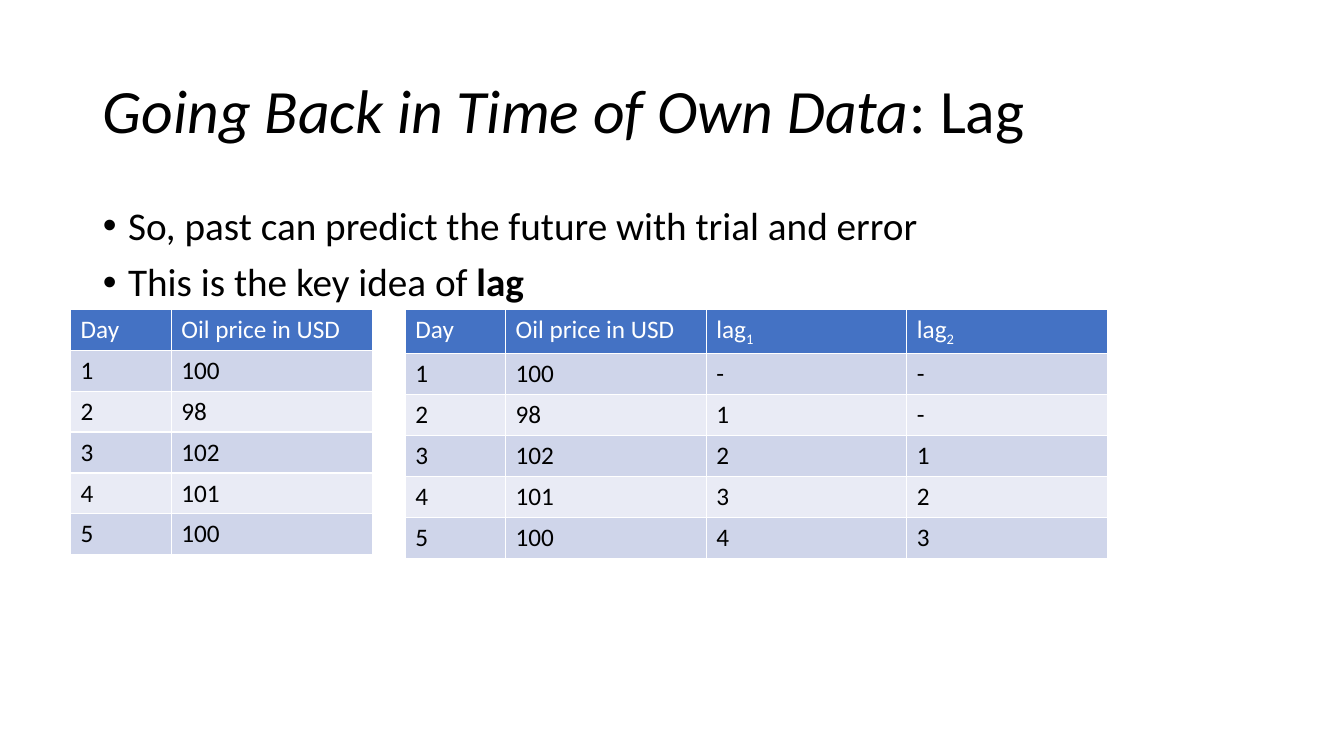
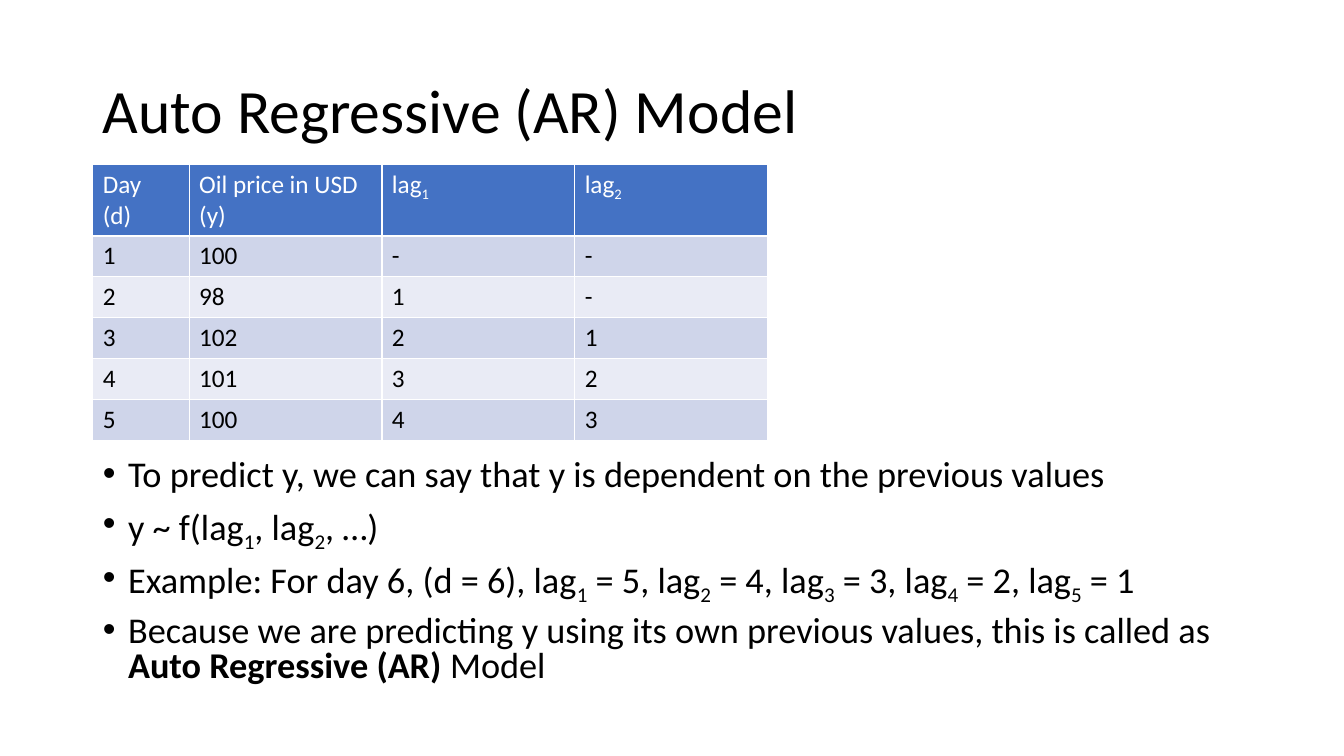
"""Build two slides on lagged data and the auto regressive model."""
from pptx import Presentation
from pptx.dml.color import RGBColor
from pptx.enum.text import MSO_ANCHOR, MSO_AUTO_SIZE, PP_ALIGN
from pptx.util import Inches, Pt

FONT = "Calibri"
BLACK = RGBColor(0x00, 0x00, 0x00)
WHITE = RGBColor(0xFF, 0xFF, 0xFF)
HEADER_BLUE = RGBColor(0x44, 0x72, 0xC4)
BANDS = RGBColor(0xE9, 0xEB, 0xF5), RGBColor(0xCF, 0xD5, 0xEA)

WIDTH, HEIGHT = 13.33, 7.5
MARGIN = 0.92
CONTENT_WIDTH = 11.5
BODY_BOTTOM = 6.76
ROW_HEIGHT = 0.405

OIL_LAGS = [
    ("1", "100", "-", "-"),
    ("2", "98", "1", "-"),
    ("3", "102", "2", "1"),
    ("4", "101", "3", "2"),
    ("5", "100", "4", "3"),
]
LAG_HEADS = ("lag|1|", "lag|2|")
PRICE_HEADS = ("Day", "Oil price in USD")

SLIDES = [
    {
        "title": "|Going Back in Time of Own Data|: Lag",
        "points": [
            "So, past can predict the future with trial and error",
            "This is the key idea of |lag|",
        ],
        "body": {"top": 2.0, "size": 28, "spacing": 0.9},
        "tables": [
            {"heads": PRICE_HEADS, "at": (0.7, 3.07), "unit": 1.0, "head_height": ROW_HEIGHT},
            {"heads": PRICE_HEADS + LAG_HEADS, "at": (4.02, 3.07), "unit": 0.995,
             "head_height": ROW_HEIGHT},
        ],
    },
    {
        "title": "Auto Regressive (AR) Model",
        "points": [
            "To predict y, we can say that y is dependent on the previous values",
            "y ~ f(lag|1|, lag|2|, …)",
            "Example: For day 6, (d = 6), lag|1| = 5, lag|2| = 4, lag|3| = 3, lag|4| = 2, lag|5| = 1",
            "Because we are predicting y using its own previous values, this is called as "
            "|Auto Regressive (AR) |Model",
        ],
        "body": {"top": 4.51, "size": 25.9, "spacing": 0.8},
        "tables": [
            {"heads": ("Day\n(d)", "Oil price in USD (y)") + LAG_HEADS,
             "at": (MARGIN, 1.63), "unit": 0.956, "head_height": 0.7},
        ],
    },
]


def write(paragraph, text, size, color=BLACK, emphasis="bold"):
    """Write text whose parts between bars are subscript digits or emphasised words."""
    for part, piece in enumerate(text.split("|")):
        for line, words in enumerate(piece.split("\n")):
            if line:
                paragraph.add_line_break()
            if not words:
                continue
            run = paragraph.add_run()
            run.text = words
            if part % 2 and words.isdigit():
                run.font._element.set("baseline", "-25000")
            elif part % 2:
                setattr(run.font, emphasis, True)
    font = paragraph.font
    font.name, font.size, font.color.rgb = FONT, Pt(size), color


def place(shape, top, height):
    shape.left, shape.top = Inches(MARGIN), Inches(top)
    shape.width, shape.height = Inches(CONTENT_WIDTH), Inches(height)


def add_title(slide, text):
    title = slide.shapes.title
    place(title, 0.4, 1.45)
    title.text_frame.auto_size = MSO_AUTO_SIZE.NONE
    title.text_frame.vertical_anchor = MSO_ANCHOR.MIDDLE
    heading = title.text_frame.paragraphs[0]
    heading.alignment, heading.line_spacing = PP_ALIGN.LEFT, 0.9
    write(heading, text, 44, emphasis="italic")


def add_points(slide, points, top, size, spacing):
    body = slide.placeholders[1]
    place(body, top, BODY_BOTTOM - top)
    frame = body.text_frame
    frame.auto_size = MSO_AUTO_SIZE.NONE
    for index, text in enumerate(points):
        point = frame.add_paragraph() if index else frame.paragraphs[0]
        properties = point._p.get_or_add_pPr()
        properties.set("marL", str(Inches(0.25)))
        properties.set("indent", str(Inches(-0.25)))
        point.line_spacing = spacing
        point.space_before = Pt(10 if index else 0)
        write(point, text, size)


def add_oil_table(slide, heads, at, unit, head_height):
    rows = [heads] + [row[:len(heads)] for row in OIL_LAGS]
    widths = [unit] + [2 * unit] * (len(heads) - 1)
    heights = [head_height] + [ROW_HEIGHT] * len(OIL_LAGS)
    box = (Inches(length) for length in (*at, sum(widths), sum(heights)))
    table = slide.shapes.add_table(len(rows), len(heads), *box).table
    for column, width in zip(table.columns, widths):
        column.width = Inches(width)
    for r, (row, height) in enumerate(zip(rows, heights)):
        table.rows[r].height = Inches(height)
        for c, text in enumerate(row):
            cell = table.cell(r, c)
            cell.fill.solid()
            cell.fill.fore_color.rgb = BANDS[r % 2] if r else HEADER_BLUE
            entry = cell.text_frame.paragraphs[0]
            write(entry, text, 18, BLACK if r else WHITE)
            for run in entry.runs:
                run.font.bold = False


def main():
    deck = Presentation()
    deck.slide_width, deck.slide_height = Inches(WIDTH), Inches(HEIGHT)
    for content in SLIDES:
        slide = deck.slides.add_slide(deck.slide_layouts[1])
        add_title(slide, content["title"])
        add_points(slide, content["points"], **content["body"])
        for oil_table in content["tables"]:
            add_oil_table(slide, **oil_table)
    deck.save("out.pptx")


if __name__ == "__main__":
    main()
